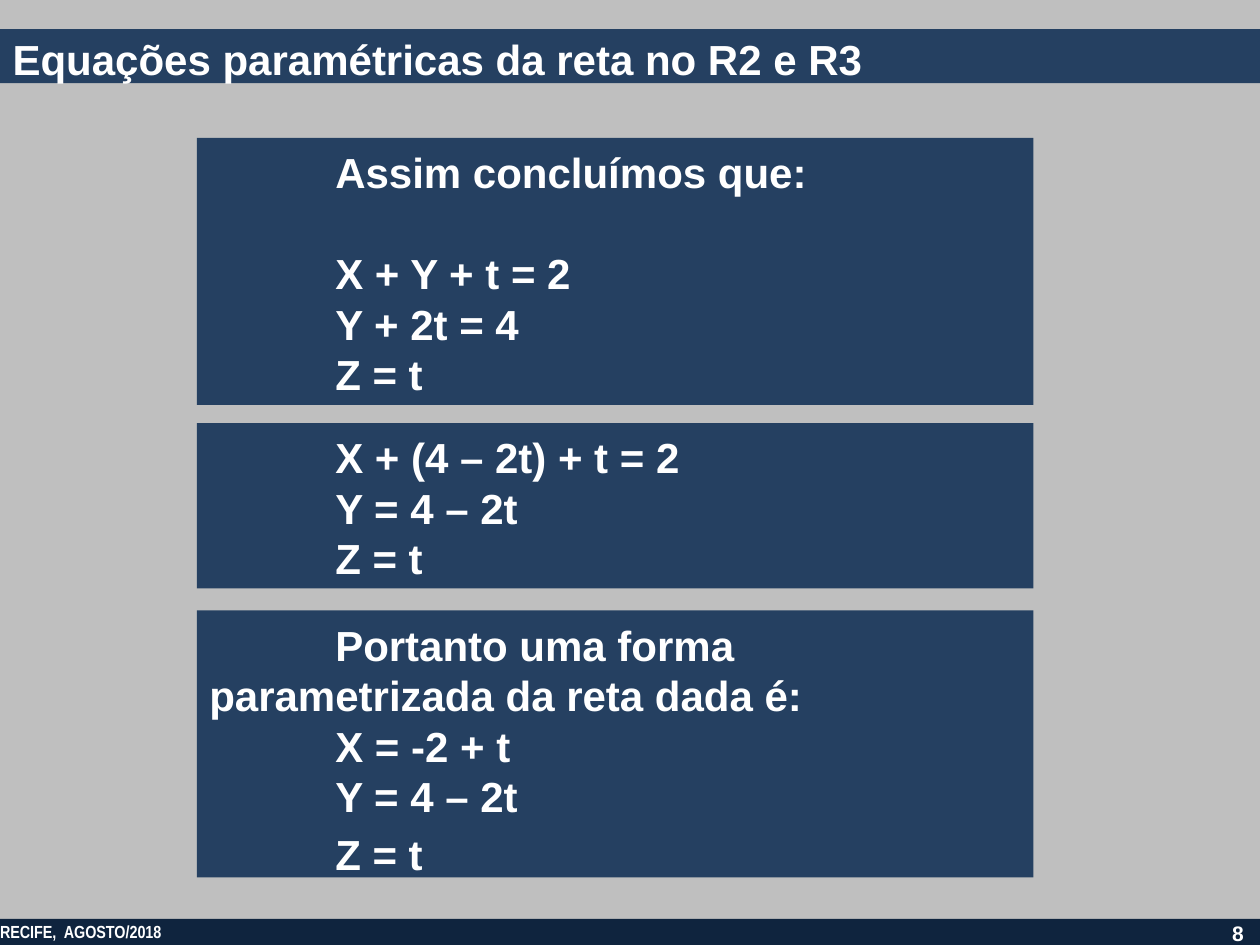
from pptx import Presentation
from pptx.dml.color import RGBColor
from pptx.enum.shapes import MSO_SHAPE as Shape
from pptx.enum.text import MSO_ANCHOR as Anchor, MSO_AUTO_SIZE as AutoSize, PP_ALIGN as Align
from pptx.util import Pt

COLORS = {"background": "BFBFBF", "panel": "254061", "footer": "0F243E", "text": "FFFFFF"}
LINE = 28.85
PANEL_LEFT, PANEL_WIDTH = 112.5, 478


class Deck:
    def __init__(self, width, height):
        self.presentation = Presentation()
        self.presentation.slide_width = Pt(width)
        self.presentation.slide_height = Pt(height)
        self.slide = self.presentation.slides.add_slide(self.presentation.slide_layouts[5])
        self.paint(self.slide.background, "background")

    def paint(self, target, color):
        target.fill.solid()
        target.fill.fore_color.rgb = RGBColor.from_string(COLORS[color])

    def frame(self, shape, insets, anchor=Anchor.TOP):
        frame = shape.text_frame
        frame.word_wrap = True
        frame.auto_size = AutoSize.NONE
        frame.vertical_anchor = anchor
        (frame.margin_left, frame.margin_top,
         frame.margin_right, frame.margin_bottom) = map(Pt, insets)
        return frame

    def set_text(self, paragraph, text, size=24, face="Arial", align=Align.LEFT):
        paragraph.text = text
        paragraph.alignment = align
        font = paragraph.font
        font.name, font.size, font.bold = face, Pt(size), True
        font.color.rgb = RGBColor.from_string(COLORS["text"])

    def bar(self, left, top, width, height, color):
        bar = self.slide.shapes.add_shape(
            Shape.RECTANGLE, Pt(left), Pt(top), Pt(width), Pt(height))
        bar.shadow.inherit = False
        bar.line.fill.background()
        self.paint(bar, color)
        return bar

    def title(self, text, left, top, width, height):
        title = self.slide.shapes.title
        title.left, title.top, title.width, title.height = map(Pt, (left, top, width, height))
        self.paint(title, "panel")
        heading = self.frame(title, (7.2, 3.2, 7.2, 0), Anchor.MIDDLE).paragraphs[0]
        self.set_text(heading, text)
        heading.line_spacing = Pt(LINE)

    def panel(self, top, height, lines):
        panel = self.bar(PANEL_LEFT, top, PANEL_WIDTH, height, "panel")
        frame = self.frame(panel, (7.2, 5, 7.2, 2))
        for index, (text, gap) in enumerate(lines):
            equation = frame.add_paragraph() if index else frame.paragraphs[0]
            self.set_text(equation, text)
            equation.line_spacing = Pt(LINE)
            equation.space_before = Pt(gap)
            properties = equation._p.get_or_add_pPr()
            properties.set("marL", "0")
            properties.set("indent", str(Pt(72)))

    def footer(self, text, left, top, width, height):
        footer = self.bar(left, top, width, height, "footer")
        frame = self.frame(footer, (1.44, 1.44, 1.44, 1.44))
        self.set_text(frame.paragraphs[0], text, 10, "Arial Narrow")

    def page_number(self, text, left, top, width, height):
        number = self.slide.shapes.add_textbox(Pt(left), Pt(top), Pt(width), Pt(height))
        frame = self.frame(number, (7.2, 3.6, 7.2, 3.6), Anchor.MIDDLE)
        self.set_text(frame.paragraphs[0], text, 12, align=Align.RIGHT)


deck = Deck(720, 540)
deck.footer("RECIFE,  AGOSTO/2018", -1.44, 525, 721.44, 15)
deck.title("Equações paramétricas da reta no R2 e R3", 0, 16.7, 720, 30.8)
deck.page_number("8", 680.4, 525.6, 37.4, 15)

panels = [
    (78.8, 152.6, [("Assim concluímos que:", 0), ("X + Y + t = 2", LINE),
                   ("Y + 2t = 4", 0), ("Z = t", 0)]),
    (241.8, 94.5, [("X + (4 – 2t) + t = 2", 0), ("Y = 4 – 2t", 0), ("Z = t", 0)]),
    (348.8, 152.6, [("Portanto uma forma parametrizada da reta dada é:", 0),
                    ("X = -2 + t", 0), ("Y = 4 – 2t", 0), ("Z = t", 4.3)]),
]
for top, height, lines in panels:
    deck.panel(top, height, lines)

deck.presentation.save("out.pptx")
